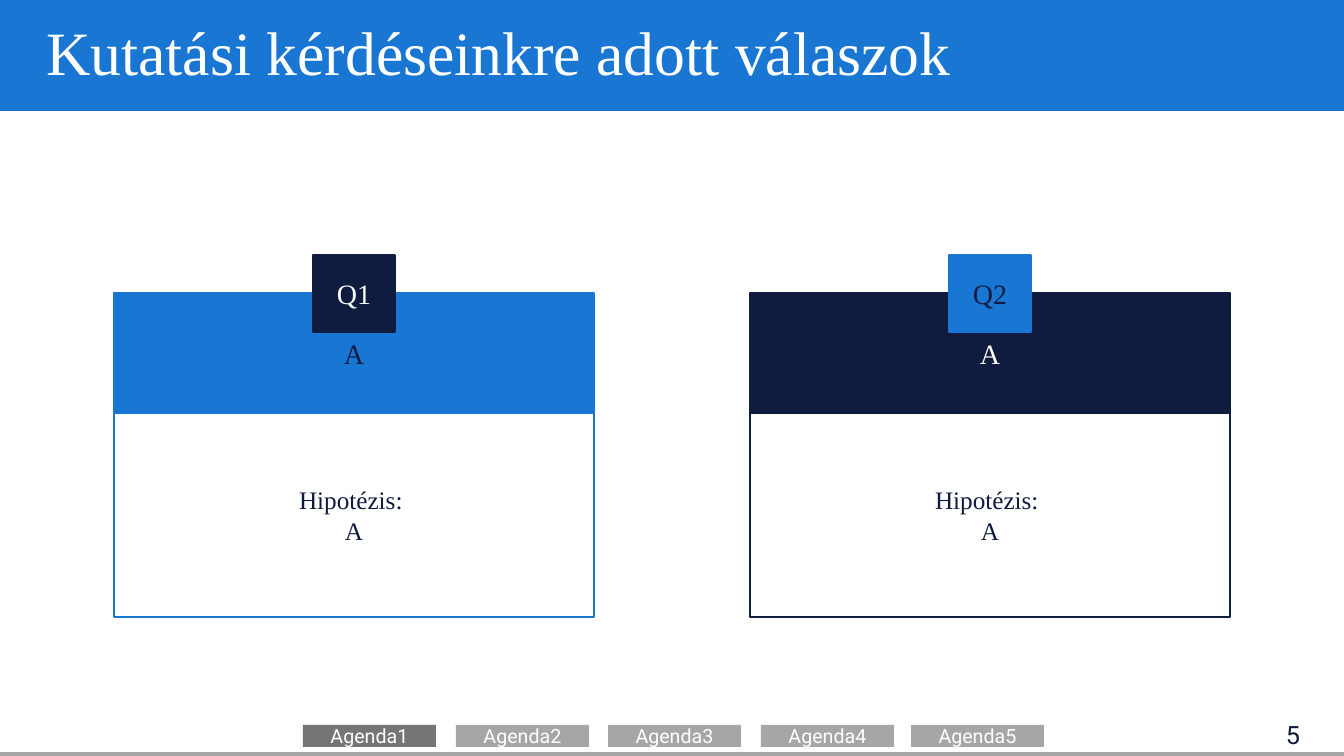
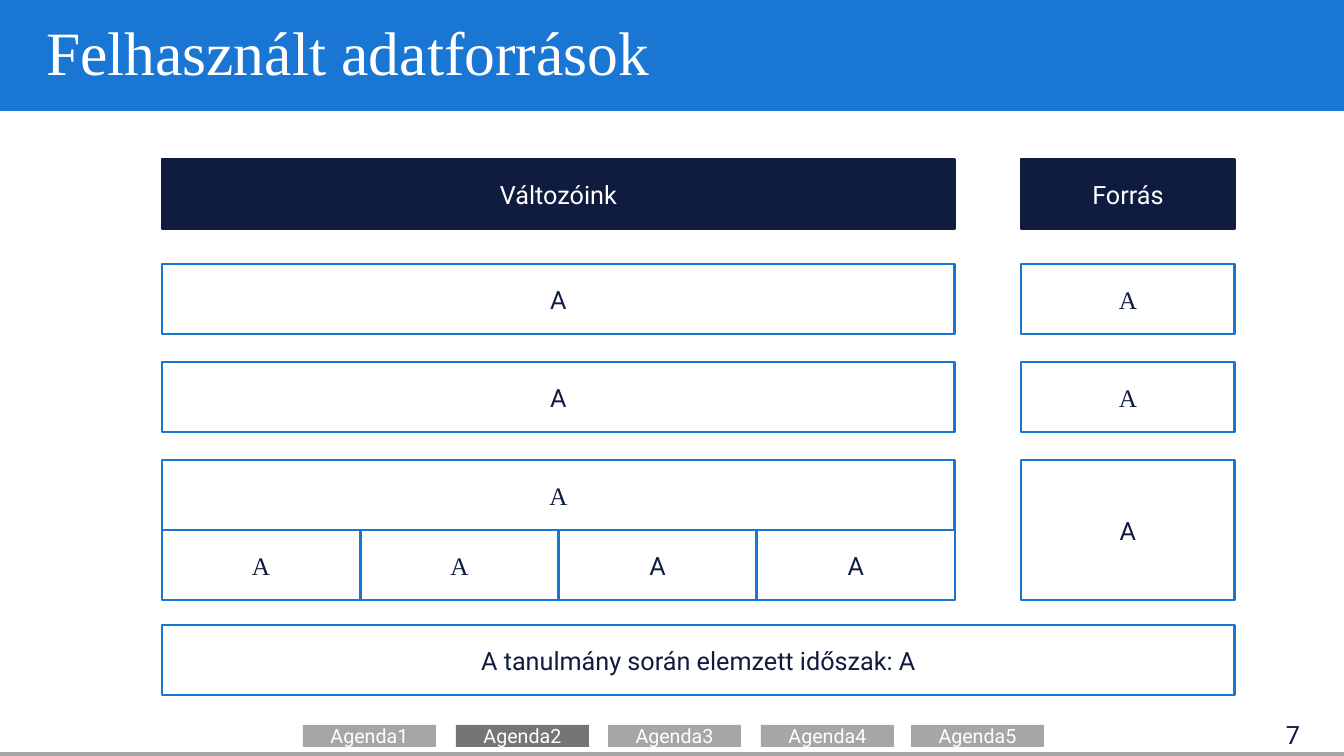
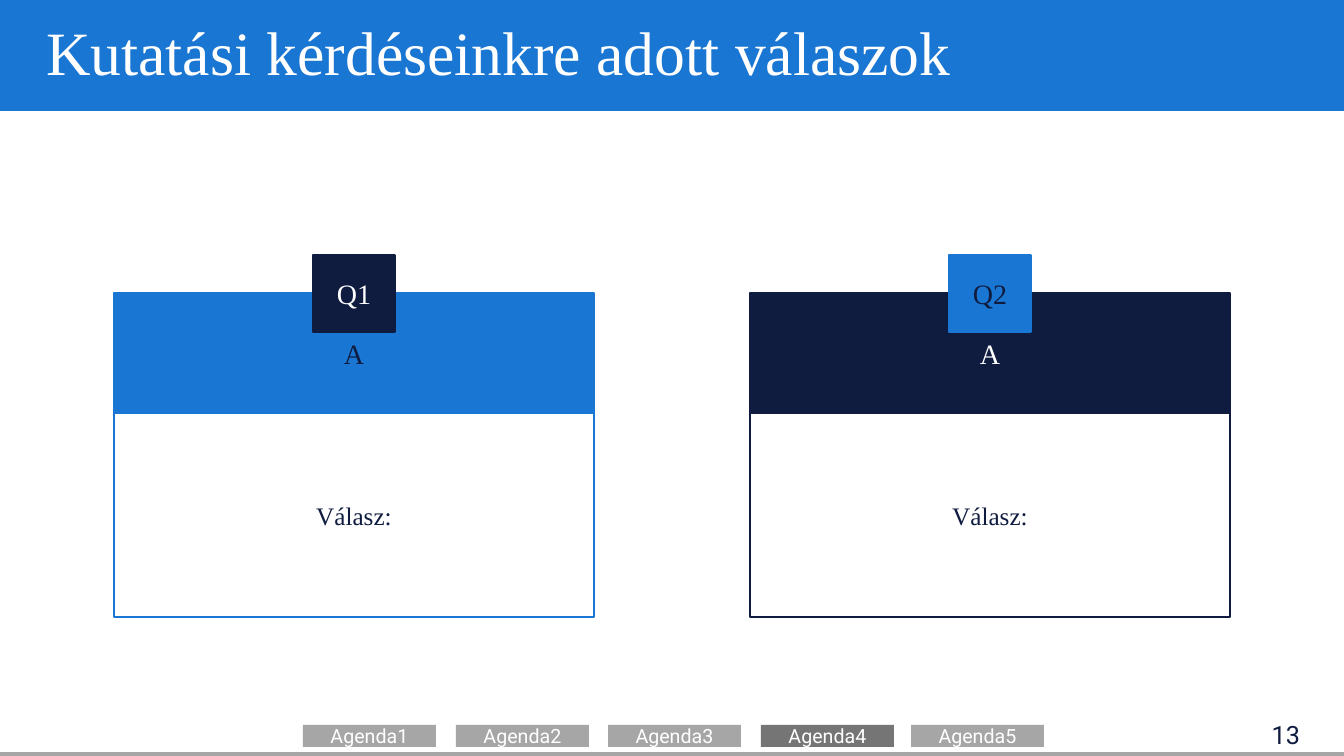
from dataclasses import dataclass

from lxml import etree
from pptx import Presentation
from pptx.dml.color import RGBColor
from pptx.enum.shapes import MSO_CONNECTOR, MSO_SHAPE
from pptx.enum.text import MSO_ANCHOR, MSO_AUTO_SIZE, PP_ALIGN
from pptx.oxml.ns import qn
from pptx.util import Emu, Pt

RECTANGLE = MSO_SHAPE.RECTANGLE
STRAIGHT = MSO_CONNECTOR.STRAIGHT
MIDDLE = MSO_ANCHOR.MIDDLE
NO_AUTOFIT = MSO_AUTO_SIZE.NONE
LEFT, CENTER, RIGHT = PP_ALIGN.LEFT, PP_ALIGN.CENTER, PP_ALIGN.RIGHT


@dataclass(frozen=True)
class Theme:
    blue: str = "1976D2"
    navy: str = "0F1C3F"
    white: str = "FFFFFF"
    gray: str = "A6A6A6"
    dark_gray: str = "757575"
    serif: str = "Times New Roman"
    sans: str = "Roboto"
    title_size: int = 44
    question_size: int = 20
    body_size: int = 18
    agenda_size: int = 14
    card_line: float = 1.5
    box_line: float = 2
    footer_line: float = 2.25


THEME = Theme()
SERIF, SANS = THEME.serif, THEME.sans

# Content
AGENDA = [("Agenda1", 303), ("Agenda2", 456), ("Agenda3", 608),
          ("Agenda4", 761), ("Agenda5", 911)]
ANSWERS_TITLE = "Kutatási kérdéseinkre adott válaszok"
SOURCES_TITLE = "Felhasznált adatforrások"
QUESTIONS = [
    {"badge": "Q1", "question": "A", "fill": THEME.blue, "ink": THEME.navy},
    {"badge": "Q2", "question": "A", "fill": THEME.navy, "ink": THEME.white},
]
HYPOTHESIS = ["Hipotézis: ", "A"]
ANSWER = ["Válasz:"]
SOURCE_HEADERS = ("Változóink", "Forrás")
# Each row: variable, its font, source, its font
SOURCE_ROWS = [("A", SANS, "A", SERIF), ("A", SANS, "A", SERIF), ("A", SERIF, "A", SANS)]
SUBVARIABLES = [("A", SERIF), ("A", SERIF), ("A", SANS), ("A", SANS)]
PERIOD = "A tanulmány során elemzett időszak: A"

# Layout, in px
SLIDE_WIDTH, SLIDE_HEIGHT = 1344, 756
BAND_HEIGHT = 111
TITLE_BOX = (36, 0, 1274, BAND_HEIGHT)
NUMBER_BOX = (1231, 720, 79, 28)
FOOTER_LINE_TOP = 754
AGENDA_TOP, AGENDA_WIDTH, AGENDA_HEIGHT = 725, 133, 22
CARD_LEFT, CARD_STEP, CARD_WIDTH = 114, 636, 480
QUESTION_TOP, QUESTION_HEIGHT, ANSWER_HEIGHT = 293, 120, 204
BADGE_TOP, BADGE_WIDTH, BADGE_HEIGHT = 255, 82, 77
VARIABLE_LEFT, VARIABLE_WIDTH = 162, 793
SOURCE_LEFT, SOURCE_WIDTH = 1021, 214
HEADER_TOP, ROWS_TOP, ROW_STEP, ROW_HEIGHT, PERIOD_TOP = 159, 264, 98, 70, 625


def px(length):
    return Emu(round(length * 914400 / 100.8))


def color(value):
    return RGBColor.from_string(value)


def write(shape, lines, font, size, ink, align=CENTER, spacing=None):
    frame = shape.text_frame
    frame.word_wrap = True
    frame.auto_size = NO_AUTOFIT
    frame.vertical_anchor = MIDDLE
    for index, line in enumerate(lines):
        paragraph = frame.add_paragraph() if index else frame.paragraphs[0]
        paragraph.alignment = align
        if spacing:
            paragraph.line_spacing = spacing
        run = paragraph.add_run()
        run.text = line
        run.font.name = font
        run.font.size = Pt(size)
        run.font.color.rgb = color(ink)


def add_box(slide, box, fill=None, line=None, line_width=THEME.box_line):
    shape = slide.shapes.add_shape(RECTANGLE, *map(px, box))
    shape.shadow.inherit = False
    if fill:
        shape.fill.solid()
        shape.fill.fore_color.rgb = color(fill)
    else:
        shape.fill.background()
    if line:
        shape.line.color.rgb = color(line)
        shape.line.width = Pt(line_width)
    else:
        shape.line.fill.background()
    return shape


def move_to_layout(shape, layout, position):
    """Put a shape behind the placeholders of the layout, with an id free there."""
    used = [placeholder.shape_id for placeholder in layout.shapes]
    shape.element.xpath(".//p:cNvPr")[0].set("id", str(max(used) + 1))
    layout.shapes.element.insert(2 + position, shape.element)


def set_up_layout(layout, slide):
    """Draw the title band and footer line once, on the layout of all slides."""
    band = add_box(slide, (0, 0, SLIDE_WIDTH, BAND_HEIGHT), THEME.blue)
    footer = slide.shapes.add_connector(
        STRAIGHT, 0, px(FOOTER_LINE_TOP), px(SLIDE_WIDTH), px(FOOTER_LINE_TOP))
    footer.line.color.rgb = color(THEME.gray)
    footer.line.width = Pt(THEME.footer_line)
    etree.SubElement(footer.element.spPr, qn("a:effectLst"))
    for position, shape in enumerate((band, footer)):
        move_to_layout(shape, layout, position)
    title = layout.placeholders[0]
    title.left, title.top, title.width, title.height = map(px, TITLE_BOX)


def add_frame(slide, title, number, active):
    """Fill the title and add the page number and the agenda bar."""
    write(slide.shapes.title, [title], SERIF, THEME.title_size, THEME.white, LEFT, 0.9)
    number_box = slide.shapes.add_textbox(*map(px, NUMBER_BOX))
    write(number_box, [str(number)], SANS, THEME.body_size, THEME.navy, RIGHT)
    for label, left in AGENDA:
        fill = THEME.dark_gray if label == active else THEME.gray
        tab = add_box(slide, (left, AGENDA_TOP, AGENDA_WIDTH, AGENDA_HEIGHT), fill)
        write(tab, [label], SANS, THEME.agenda_size, THEME.white)


def add_question_cards(slide, answer):
    for index, card in enumerate(QUESTIONS):
        left = CARD_LEFT + index * CARD_STEP
        fill, ink = card["fill"], card["ink"]
        question = add_box(slide, (left, QUESTION_TOP, CARD_WIDTH, QUESTION_HEIGHT),
                           fill, fill, THEME.card_line)
        write(question, [card["question"]], SERIF, THEME.question_size, ink)
        body = add_box(
            slide, (left, QUESTION_TOP + QUESTION_HEIGHT, CARD_WIDTH, ANSWER_HEIGHT),
            None, fill, THEME.card_line)
        write(body, answer, SERIF, THEME.body_size, THEME.navy)

        # The badge takes the colours of the other card
        other = QUESTIONS[1 - index]
        badge_left = left + (CARD_WIDTH - BADGE_WIDTH) / 2
        badge = add_box(slide, (badge_left, BADGE_TOP, BADGE_WIDTH, BADGE_HEIGHT),
                        other["fill"], other["fill"])
        write(badge, [card["badge"]], SERIF, THEME.question_size, other["ink"])


def add_cell(slide, box, text, font=SANS, header=False):
    fill, line, ink = ((THEME.navy, THEME.navy, THEME.white) if header
                       else (None, THEME.blue, THEME.navy))
    write(add_box(slide, box, fill, line), [text], font, THEME.body_size, ink)


def add_source_grid(slide):
    columns = [(VARIABLE_LEFT, VARIABLE_WIDTH), (SOURCE_LEFT, SOURCE_WIDTH)]
    for (left, width), text in zip(columns, SOURCE_HEADERS):
        add_cell(slide, (left, HEADER_TOP, width, ROW_HEIGHT), text, header=True)

    last = len(SOURCE_ROWS) - 1
    for index, (variable, variable_font, source, source_font) in enumerate(SOURCE_ROWS):
        top = ROWS_TOP + index * ROW_STEP
        source_height = ROW_HEIGHT * (2 if index == last else 1)
        add_cell(slide, (VARIABLE_LEFT, top, VARIABLE_WIDTH, ROW_HEIGHT),
                 variable, variable_font)
        add_cell(slide, (SOURCE_LEFT, top, SOURCE_WIDTH, source_height),
                 source, source_font)

    part_top = ROWS_TOP + last * ROW_STEP + ROW_HEIGHT
    part_width = VARIABLE_WIDTH / len(SUBVARIABLES)
    for index, (text, font) in enumerate(SUBVARIABLES):
        left = VARIABLE_LEFT + index * part_width
        add_cell(slide, (left, part_top, part_width, ROW_HEIGHT), text, font)

    full_width = SOURCE_LEFT + SOURCE_WIDTH - VARIABLE_LEFT
    add_cell(slide, (VARIABLE_LEFT, PERIOD_TOP, full_width, ROW_HEIGHT), PERIOD)


def main():
    presentation = Presentation()
    presentation.slide_width = px(SLIDE_WIDTH)
    presentation.slide_height = px(SLIDE_HEIGHT)
    layout = presentation.slide_layouts.get_by_name("Title Only")
    hypotheses, sources, answers = [presentation.slides.add_slide(layout) for _ in range(3)]
    set_up_layout(layout, hypotheses)

    add_frame(hypotheses, ANSWERS_TITLE, 5, "Agenda1")
    add_question_cards(hypotheses, HYPOTHESIS)

    add_frame(sources, SOURCES_TITLE, 7, "Agenda2")
    add_source_grid(sources)

    add_frame(answers, ANSWERS_TITLE, 13, "Agenda4")
    add_question_cards(answers, ANSWER)

    presentation.save("out.pptx")


if __name__ == "__main__":
    main()
